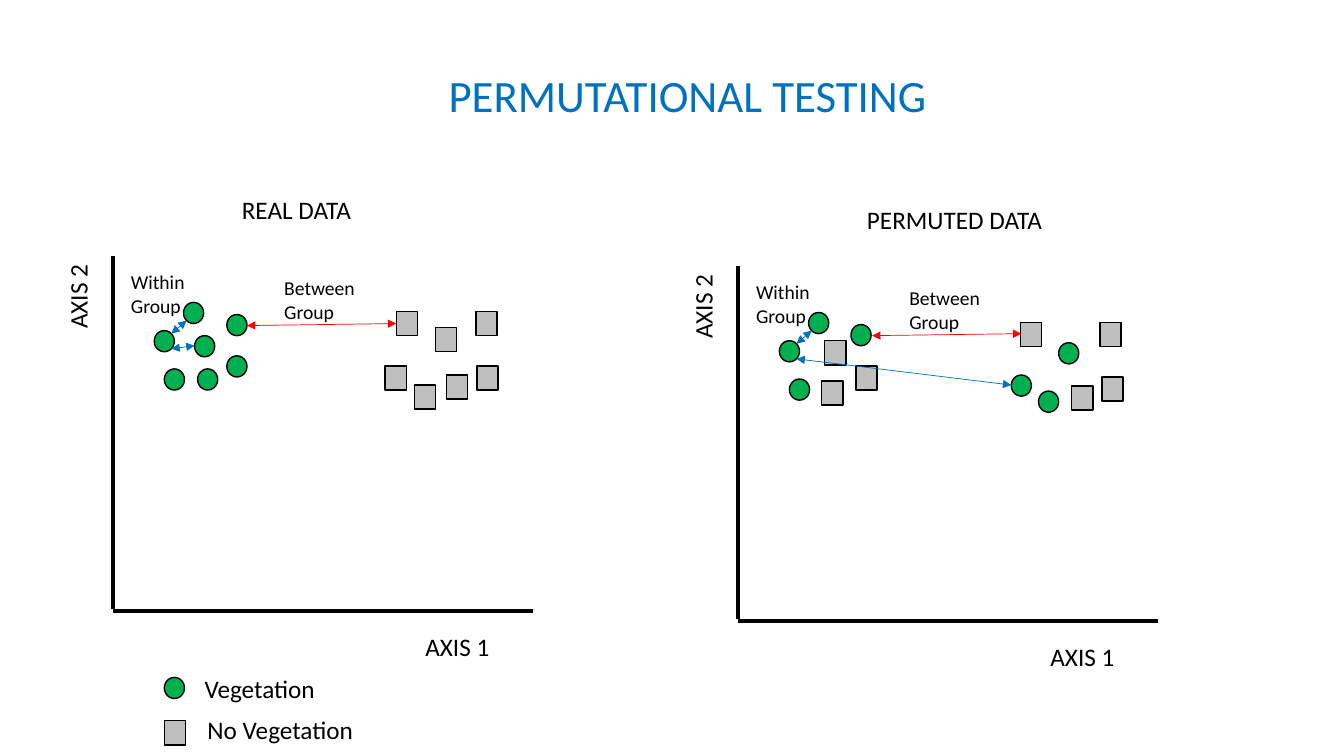
from pptx import Presentation
from pptx.dml.color import RGBColor as RGB
from pptx.enum.shapes import MSO_CONNECTOR as CONN, MSO_SHAPE as SHAPE
from pptx.enum.text import MSO_AUTO_SIZE as FIT
from pptx.oxml.ns import qn
from pptx.util import Emu, Pt
from lxml.etree import SubElement as sub

BLACK, BLUE, RED, GREEN, GREY = "000000", "0070C0", "FF0000", "00B050", "BFBFBF"
DOTS = [(153, 328), (163, 366), (193, 333), (196, 366), (182, 300), (225, 353), (225, 312)]
BOXES = [(382, 363), (393, 309), (411, 382), (432, 325), (443, 372), (473, 363), (472, 309)]
MIXED_DOTS = [(153, 328), (163, 366), (430, 330), (410, 378), (182, 300), (383, 362), (224, 312)]
MIXED_BOXES = [(229, 353), (392, 310), (195, 368), (198, 328), (443, 373), (473, 364), (471, 310)]


def px(n):
    return Emu(n * 9144)


def color(code):
    return RGB.from_string(code)


class Sketch:
    """Draws the elements of one slide, shifted by the offset of the current plot."""

    def __init__(self, slide, font="Calibri"):
        self.slide, self.font = slide, font
        self.dx = self.dy = 0

    def spot(self, x, y):
        return px(x + self.dx), px(y + self.dy)

    def text(self, words, x, y, w, h=40, size=18, ink=BLACK, turn=0):
        box = self.slide.shapes.add_textbox(*self.spot(x, y), px(w), px(h))
        box.rotation = turn
        frame = box.text_frame
        frame.text = words
        frame.word_wrap = False
        frame.auto_size = FIT.SHAPE_TO_FIT_TEXT
        for par in frame.paragraphs:
            for run in par.runs:
                run.font.name, run.font.size = self.font, Pt(size)
                run.font.color.rgb = color(ink)

    def mark(self, kind, x, y, w, h, fill):
        shape = self.slide.shapes.add_shape(kind, *self.spot(x, y), px(w), px(h))
        shape.shadow.inherit = False
        shape.fill.solid()
        shape.fill.fore_color.rgb = color(fill)
        shape.line.color.rgb = color(BLACK)
        shape.line.width = Pt(1)

    def dot(self, x, y):
        self.mark(SHAPE.OVAL, x, y, 20, 21, GREEN)

    def box(self, x, y):
        self.mark(SHAPE.RECTANGLE, x, y, 21, 24, GREY)

    def line(self, start, end, ink=BLACK, width=3.0):
        link = self.slide.shapes.add_connector(CONN.STRAIGHT, *self.spot(*start), *self.spot(*end))
        link.line.color.rgb = color(ink)
        link.line.width = Pt(width)
        sub(link._element.spPr, qn("a:effectLst"))
        return link

    def arrow(self, start, end, ink):
        edge = self.line(start, end, ink, 0.5).line._get_or_add_ln()
        for tip in ("a:headEnd", "a:tailEnd"):
            sub(edge, qn(tip), type="triangle")

    def plot(self, title, width, dots, boxes, far, dx=0, dy=0):
        self.dx, self.dy = dx, dy
        self.line((112, 254), (112, 604))
        self.line((529, 606), (112, 606))
        for place in dots:
            self.dot(*place)
        for place in boxes:
            self.box(*place)
        self.text("AXIS 1", 412, 621, 84)
        self.text("AXIS 2", 35, 274, 84, turn=270)
        self.arrow((245, 323), (393, 321), RED)
        self.text(title, 230, 188, width)
        self.text("Between\nGroup", 272, 269, 95, 57, size=14)
        self.arrow((170, 331), (185, 318), BLUE)
        self.arrow(far, (170, 346), BLUE)
        self.text("Within\nGroup", 120, 263, 79, 57, size=14)
        self.dx = self.dy = 0


def main():
    deck = Presentation()
    deck.slide_width, deck.slide_height = px(1333), px(750)
    art = Sketch(deck.slides.add_slide(deck.slide_layouts[6]))
    art.text("PERMUTATIONAL TESTING", 435, 62, 509, 64, size=32, ink=BLUE)
    art.plot("REAL DATA", 130, DOTS, BOXES, (193, 343))
    art.dot(163, 672)
    art.text("Vegetation", 193, 663, 131)
    art.box(163, 715)
    art.text("No Vegetation", 196, 704, 166)
    art.plot("PERMUTED DATA", 195, MIXED_DOTS, MIXED_BOXES, (383, 372), dx=620, dy=10)
    deck.save("out.pptx")


if __name__ == "__main__":
    main()
